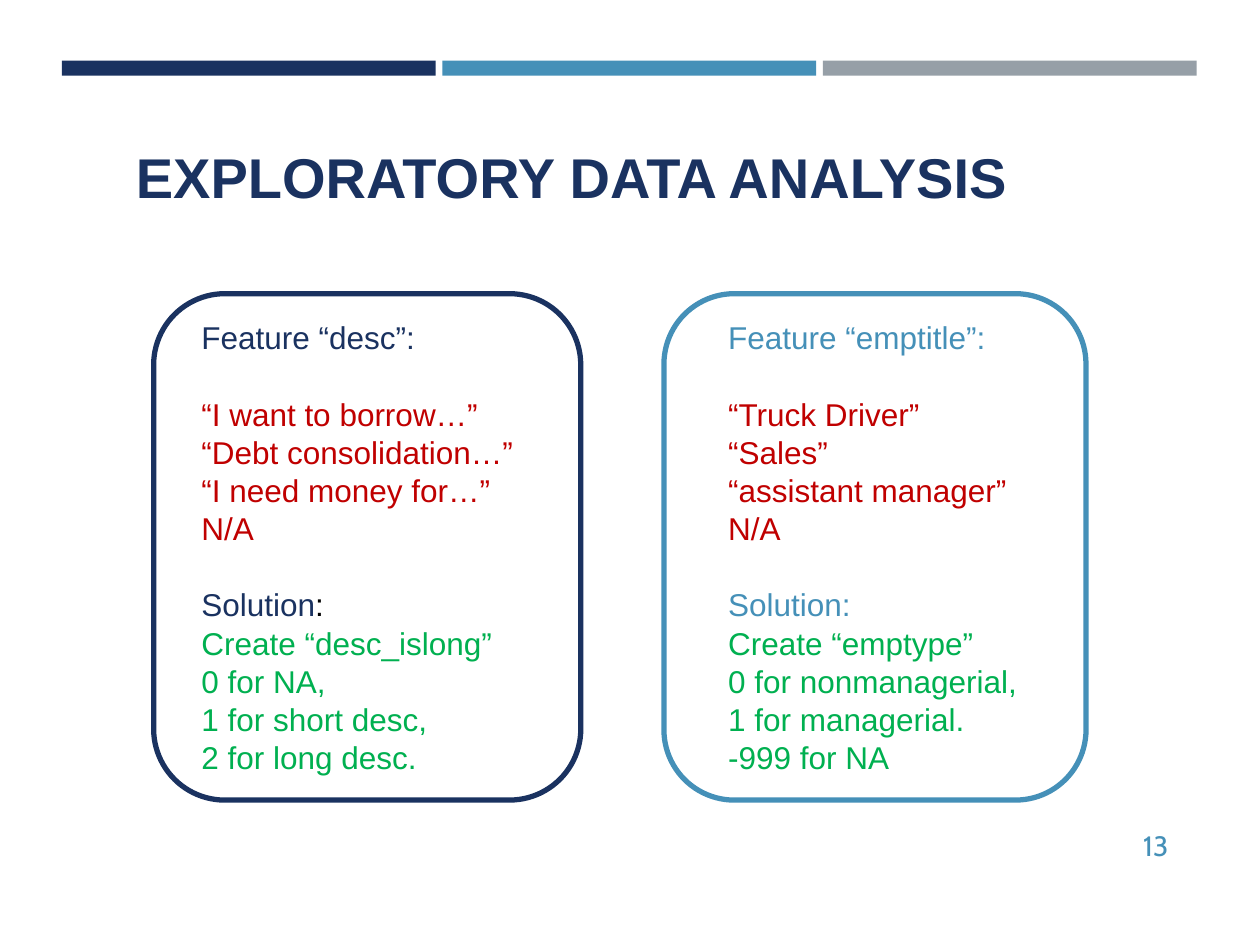
from pptx import Presentation
from pptx.dml.color import RGBColor
from pptx.enum.shapes import MSO_SHAPE as Shape
from pptx.enum.text import MSO_ANCHOR as Anchor, PP_ALIGN as Align
from pptx.util import Pt

NAVY, BLUE, GRAY = "1A3260", "4590B8", "969FA7"
RED, GREEN, BLACK = "C00000", "00B050", "000000"

BARS = [NAVY, BLUE, GRAY]
BAR_LEFT, BAR_PITCH, BAR_WIDTH = 35.4, 217.4, 213.6
TITLE = "EXPLORATORY DATA ANALYSIS"
PAGE_NUMBER = "13"
CARD_TOP, CARD_HEIGHT = 167.8, 289.4
TEXT_TOP, TEXT_WIDTH, TEXT_HEIGHT = 178.2, 203.8, 269.3
LINE_RATIO = 1.21

CARDS = [
    {
        "color": NAVY, "left": 87.8, "width": 244.1, "text_left": 108,
        "feature": "Feature “desc”:",
        "samples": ["“I want to borrow…”", "“Debt consolidation…”",
                    "“I need money for…”", "N/A"],
        "colon": BLACK,
        "solution": ["Create “desc_islong”", "0 for NA,",
                     "1 for short desc,", "2 for long desc."],
    },
    {
        "color": BLUE, "left": 379.4, "width": 241.2, "text_left": 409,
        "feature": "Feature “emptitle”:",
        "samples": ["“Truck Driver”", "“Sales”", "“assistant manager”", "N/A"],
        "colon": BLUE,
        "solution": ["Create “emptype”", "0 for nonmanagerial,",
                     "1 for managerial.", "-999 for NA"],
    },
]


def rgb(color):
    return RGBColor.from_string(color)


def add_box(page, left, top, width, height):
    box = page.shapes.add_textbox(Pt(left), Pt(top), Pt(width), Pt(height))
    box.text_frame.word_wrap = True
    return box.text_frame


def style(para, size, color, name="Arial", bold=False):
    para.font.size = Pt(size)
    para.font.name = name
    para.font.bold = bold
    para.font.color.rgb = rgb(color)
    para.line_spacing = Pt(round(size * LINE_RATIO, 1))


def add_bars(page):
    for index, color in enumerate(BARS):
        bar = page.shapes.add_shape(
            Shape.RECTANGLE, Pt(BAR_LEFT + index * BAR_PITCH), Pt(34.6),
            Pt(BAR_WIDTH), Pt(8.6))
        bar.shadow.inherit = False
        bar.fill.solid()
        bar.fill.fore_color.rgb = rgb(color)
        bar.line.fill.background()


def add_card(page, card):
    frame = page.shapes.add_shape(
        Shape.ROUNDED_RECTANGLE, Pt(card["left"]), Pt(CARD_TOP),
        Pt(card["width"]), Pt(CARD_HEIGHT))
    frame.shadow.inherit = False
    frame.fill.background()
    frame.line.color.rgb = rgb(card["color"])
    frame.line.width = Pt(3)


def add_card_text(page, card):
    text = add_box(page, card["text_left"], TEXT_TOP, TEXT_WIDTH, TEXT_HEIGHT)
    lines = [(card["feature"], card["color"])]
    lines += [(sample, RED) for sample in card["samples"]]
    lines += [("Solution", card["color"])]
    lines += [(step, GREEN) for step in card["solution"]]
    group_starts = (1, 1 + len(card["samples"]))
    for index, (line, color) in enumerate(lines):
        para = text.add_paragraph() if index else text.paragraphs[0]
        para.add_run().text = line
        style(para, 18, color)
        if index in group_starts:
            para.space_before = para.line_spacing
        if line == "Solution":
            span = para.add_run()
            span.text = ":"
            span.font.color.rgb = rgb(card["colon"])


def main():
    deck = Presentation()
    deck.slide_width, deck.slide_height = Pt(720), Pt(540)
    page = deck.slides.add_slide(deck.slide_layouts[6])

    add_bars(page)

    number = add_box(page, 614.2, 468.7, 60.5, 28.8)
    number.vertical_anchor = Anchor.MIDDLE
    number.text = PAGE_NUMBER
    style(number.paragraphs[0], 16, BLUE, "Cabin")
    number.paragraphs[0].alignment = Align.RIGHT

    title = add_box(page, 70.6, 77.5, 566.6, 46.1)
    title.text = TITLE
    style(title.paragraphs[0], 32, NAVY, bold=True)

    for card in CARDS:
        add_card(page, card)
        add_card_text(page, card)

    deck.save("out.pptx")


if __name__ == "__main__":
    main()
